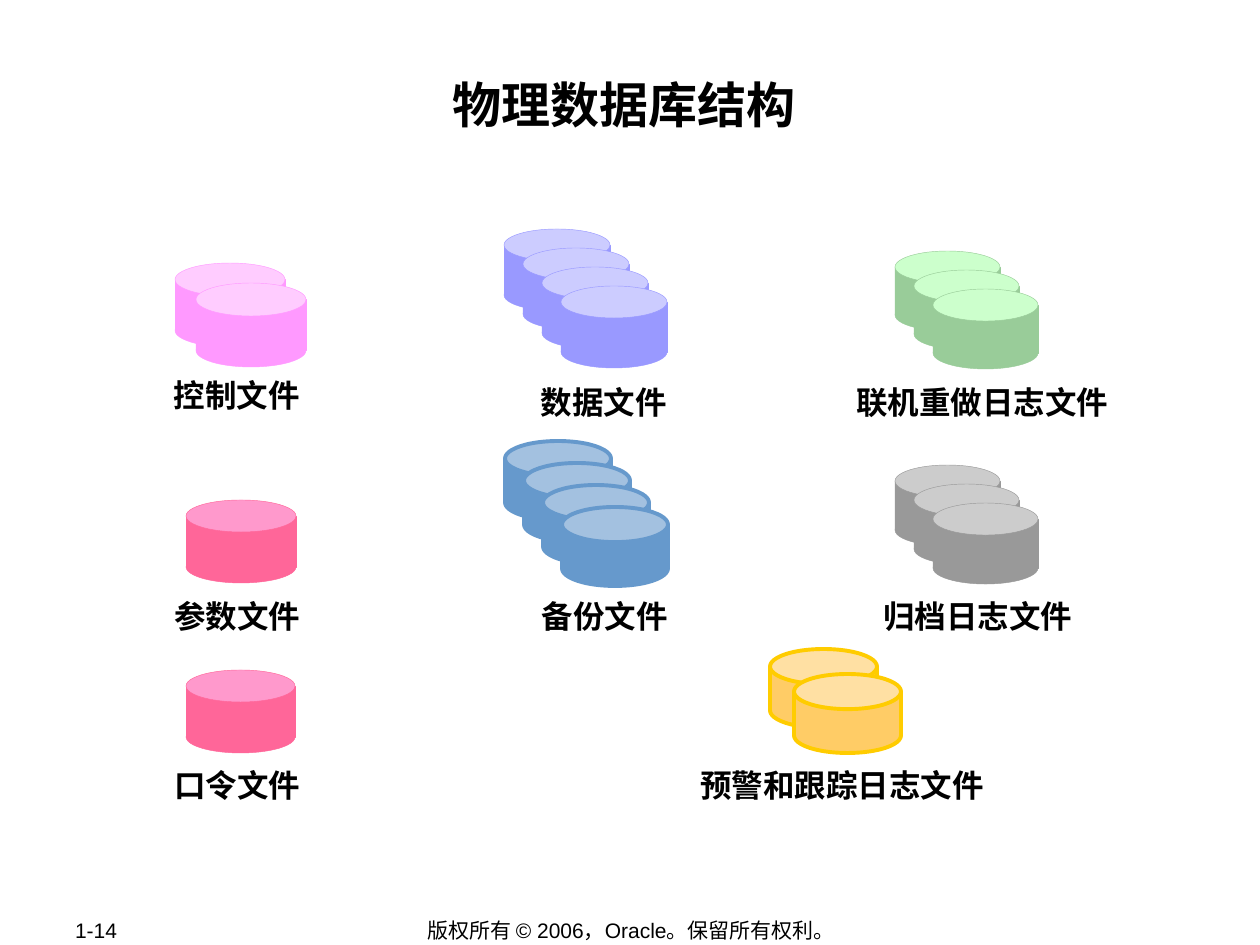
"""Builds the slide on the physical structure of a database."""
from pptx import Presentation
from pptx import util as u
from pptx.dml.color import RGBColor
from pptx.enum import shapes, text

SCALE = 914400 / 126
BLACK = "000000"

# colours: side, lid; place: left, top; size: width, side height, lid height; step; count
DISC_STACKS = [
    ("99CC99", "CCFFCC", (895, 251), (105, 48, 32), (19, 19), 3),
    ("FF6699", "FF99CC", (186, 670), (109, 51, 32), (0, 0), 1),
    ("FF6699", "FF99CC", (186, 500), (110, 51, 32), (0, 0), 1),
    ("FF99FF", "FFCCFF", (175, 263), (110, 51, 33), (21, 20), 2),
    ("9999FF", "CCCCFF", (504, 229), (106, 50, 32), (19, 19), 4),
    ("999999", "CCCCCC", (895, 465), (105, 49, 32), (19, 19), 3),
]
# colours: fill, line; place: left, top; size: width, height; step; count
CAN_STACKS = [
    ("FFCC66", "FFCC00", (770, 649), (107, 79), (24, 25), 2),
    ("6699CC", "6699CC", (505, 441), (106, 79), (19, 22), 4),
]
# wording, centre, top, width
LABELS = [
    ("联机重做日志文件", 982, 378, 321),
    ("口令文件", 237, 761, 223),
    ("参数文件", 237, 592, 273),
    ("归档日志文件", 978, 592, 305),
    ("数据文件", 604, 378, 189),
    ("预警和跟踪日志文件", 842, 761, 374),
    ("备份文件", 605, 592, 213),
]


def px(length):
    """Turn px into EMU."""
    return u.Emu(round(length * SCALE))


def colour(value):
    """Turn a hex string into a colour."""
    return RGBColor.from_string(value)


def write(box, wording, size, bold, align, anchor, inset=1, spacing=None):
    """Put one formatted paragraph into a box."""
    frame = box.text_frame
    frame.text = wording
    frame.word_wrap = True
    frame.auto_size = text.MSO_AUTO_SIZE.NONE
    frame.vertical_anchor = anchor
    frame.margin_left = frame.margin_right = px(inset)
    frame.margin_top = frame.margin_bottom = px(inset)
    para = frame.paragraphs[0]
    para.alignment = align
    para.space_before = u.Pt(0)
    if spacing:
        para.line_spacing = spacing
    font = para.runs[0].font
    font.name, font.size, font.bold = "Arial", u.Pt(size), bold
    font.color.rgb = colour(BLACK)


def add_title(slide, wording):
    """Move and fill the title placeholder."""
    title = slide.shapes.title
    title.left, title.top, title.width, title.height = map(px, (120, 73, 1008, 121))
    write(title, wording, 28, True, text.PP_ALIGN.CENTER, text.MSO_ANCHOR.TOP)


def add_label(slide, wording, centre, top, width, height=45, inset=1, spacing=1.1):
    """Add a bold caption centred on a point."""
    box = slide.shapes.add_textbox(px(centre - width / 2), px(top), px(width), px(height))
    write(box, wording, 18, True, text.PP_ALIGN.CENTER, text.MSO_ANCHOR.TOP, inset, spacing)


def add_footer(slide, wording, left, width, align):
    """Add a line of text at the foot of the slide."""
    box = slide.shapes.add_textbox(px(left), px(917), px(width), px(26))
    write(box, wording, 12, False, align, text.MSO_ANCHOR.MIDDLE, inset=12)


def add_part(group, kind, place, size, fill, line, weight):
    """Add one filled and outlined shape to a group."""
    part = group.shapes.add_shape(kind, *map(px, (*place, *size)))
    part.shadow.inherit = False
    part.fill.solid()
    part.fill.fore_color.rgb = colour(fill)
    part.line.color.rgb = colour(line)
    part.line.width = u.Pt(weight)
    return part


def add_disc_stack(slide, side, lid, place, size, step, count):
    """Add overlapping discs, each a side, a lid and a base."""
    group = slide.shapes.add_group_shape()
    width, height, oval = size
    kinds = shapes.MSO_SHAPE
    for index in range(count):
        left, top = (start + index * gap for start, gap in zip(place, step))
        add_part(group, kinds.RECTANGLE, (left, top + oval / 2), (width, height), side, side, 0.25)
        add_part(group, kinds.OVAL, (left, top), (width, oval), lid, side, 0.25)
        add_part(group, kinds.OVAL, (left, top + height), (width, oval), side, side, 0.25)


def add_can_stack(slide, fill, line, place, size, step, count):
    """Add overlapping can shapes."""
    group = slide.shapes.add_group_shape()
    for index in range(count):
        corner = [start + index * gap for start, gap in zip(place, step)]
        can = add_part(group, shapes.MSO_SHAPE.CAN, corner, size, fill, line, 2.25)
        can.adjustments[0] = 0.445


def main():
    """Build and save the deck."""
    deck = Presentation()
    deck.slide_width, deck.slide_height = px(1260), px(945)
    page = deck.slides.add_slide(deck.slide_layouts[5])
    add_footer(page, "版权所有 © 2006，Oracle。保留所有权利。", 348, 566, text.PP_ALIGN.CENTER)
    add_footer(page, "1-14", 63, 134, text.PP_ALIGN.LEFT)
    add_title(page, "物理数据库结构")
    for stack in DISC_STACKS:
        add_disc_stack(page, *stack)
    for label in LABELS:
        add_label(page, *label)
    add_label(page, "控制文件", 237, 378, 204, height=40, inset=4, spacing=0.85)
    for stack in CAN_STACKS:
        add_can_stack(page, *stack)
    deck.save("out.pptx")


if __name__ == "__main__":
    main()
